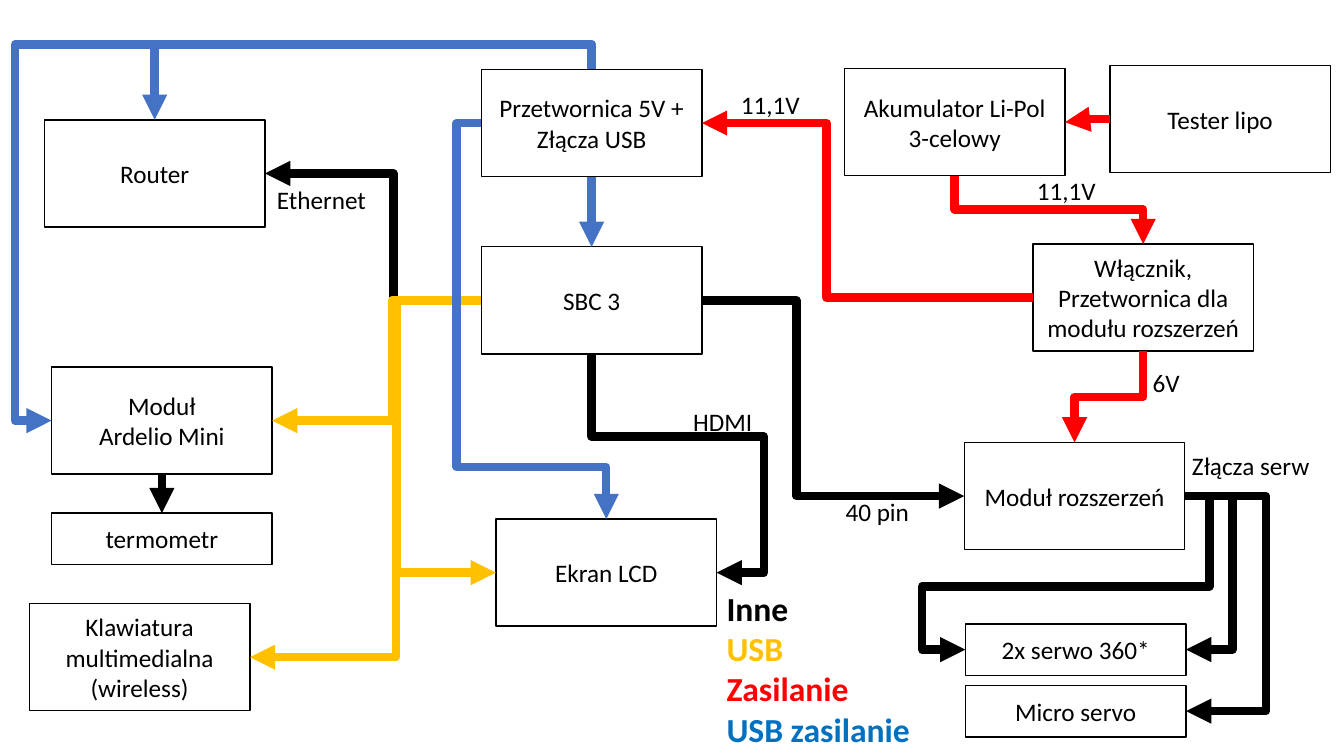
from lxml.etree import SubElement as Sub
from pptx import Presentation
from pptx.dml.color import RGBColor as Rgb
from pptx.enum.shapes import MSO_CONNECTOR as Link, MSO_SHAPE as Form
from pptx.enum.text import MSO_ANCHOR as Anchor, PP_ALIGN as Align
from pptx.oxml.ns import qn
from pptx.util import Cm, Pt

HEX = {"white": "FFFFFF", "black": "000000", "blue": "4472C4",
       "gold": "FFC000", "red": "FF0000", "sky": "0070C0"}
WIDE, TALL, LOW = 5.56, 2.7, 1.3

LEFT = {
    "router": (0.38, 0, TALL, ["Router"]),
    "nano": (0.56, 6.23, TALL, ["Moduł", "Ardelio Mini"]),
    "thermo": (0.56, 9.91, LOW, ["termometr"]),
    "keys": (0, 12.19, TALL, ["Klawiatura multimedialna (wireless)"]),
}
MIDDLE = {
    "conv": (0, 0, TALL, ["Przetwornica 5V + Złącza USB"]),
    "board": (0, 4.47, TALL, ["SBC 3"]),
    "screen": (0.37, 11.33, TALL, ["Ekran LCD"]),
}
RIGHT = {
    "cell": (0, 0.08, TALL, ["Akumulator Li-Pol", "3-celowy"]),
    "tester": (6.69, 0, TALL, ["Tester lipo"]),
    "switch": (4.75, 4.5, TALL, ["Włącznik, Przetwornica dla modułu rozszerzeń"]),
    "ext": (3.02, 9.5, TALL, ["Moduł rozszerzeń"]),
    "servo": (3.05, 14.07, LOW, ["2x serwo 360*"]),
    "micro": (3.05, 15.62, LOW, ["Micro servo"]),
}
WIRES = [
    ("black", "board", "e", "ext", "w", [20.07]),
    ("blue", "conv", "s", "board", "n", []),
    ("black", "board", "s", "screen", "e", [11, 19.25]),
    ("gold", "board", "w", "screen", "w", [10]),
    ("blue", "conv", "n", "router", "n", [1.12]),
    ("black", "board", "w", "router", "e", [9.91]),
    ("red", "cell", "s", "switch", "n", [5.28]),
    ("red", "switch", "w", "conv", "e", [20.83]),
    ("red", "switch", "s", "ext", "n", [10.01]),
    ("black", "ext", "e", "servo", "e", [31.06]),
    ("black", "ext", "e", "servo", "w", [30.48, 14.78, 23.24]),
    ("gold", "board", "w", "keys", "e", [9.98]),
    ("gold", "board", "w", "nano", "e", [9.88]),
    ("red", "tester", "w", "cell", "e", [27.41]),
    ("blue", "conv", "w", "screen", "n", [11.51, 11.76]),
    ("blue", "conv", "n", "nano", "w", [1.12, 0.38]),
    ("black", "ext", "e", "micro", "e", [31.9]),
    ("black", "nano", "s", "thermo", "n", []),
]
NOTES = [
    ("6V", 28.8, 9.14, 2.34), ("HDMI", 17.22, 10.11, 2.24),
    ("Ethernet", 6.73, 4.52, 2.84), ("40 pin", 21.06, 12.37, 2.34),
    ("11,1V", 18.42, 2.13, 2.34), ("11,1V", 25.88, 4.29, 2.34),
    ("Złącza serw", 29.79, 11.23, 3.71),
]
LEGEND = [("Inne", "black"), ("USB", "gold"), ("Zasilanie", "red"),
          ("USB zasilanie", "sky")]


def color(name):
    """Return the named colour."""
    return Rgb.from_string(HEX[name])


def write(frame, rows, size=18, bold=False, align=Align.LEFT):
    """Fill a frame with one paragraph per (text, colour) row."""
    frame.word_wrap = True
    for i, (text, tint) in enumerate(rows):
        para = frame.add_paragraph() if i else frame.paragraphs[0]
        para.alignment = align
        run = para.add_run()
        run.text = text
        run.font.name, run.font.size, run.font.bold = "Calibri", Pt(size), bold
        run.font.color.rgb = color(tint)


def column(slide, box, items):
    """Draw a column of blocks and return their outlines by name."""
    spots = {}
    for name, (dx, dy, high, rows) in items.items():
        x, y = box[0] + dx, box[1] + dy
        block = slide.shapes.add_shape(Form.RECTANGLE, Cm(x), Cm(y), Cm(WIDE), Cm(high))
        block.shadow.inherit = False
        block.fill.solid()
        block.fill.fore_color.rgb = color("white")
        block.line.color.rgb = color("black")
        block.line.width = Pt(1)
        block.text_frame.vertical_anchor = Anchor.MIDDLE
        write(block.text_frame, [(row, "black") for row in rows], align=Align.CENTER)
        spots[name] = (x, y, high)
    return spots


def port(spot, side):
    """Return the middle of one side of a block."""
    x, y, high = spot
    return {"n": (x + WIDE / 2, y), "s": (x + WIDE / 2, y + high),
            "w": (x, y + high / 2), "e": (x + WIDE, y + high / 2)}[side]


def wire(slide, tint, start, end, side, bends):
    """Draw an arrow that leaves by a side and turns at each bend."""
    dx, dy = end[0] - start[0], end[1] - start[1]
    mx, my = (start[0] + end[0]) / 2, (start[1] + end[1]) / 2
    turn, wide, high = 0, dx, dy
    if bends:
        turn = {"e": 0, "w": 180, "n": 270, "s": 270 if dx > 0 else 90}[side]
        wide, high = {0: (dx, dy), 90: (dy, -dx),
                      180: (-dx, -dy), 270: (-dy, dx)}[turn]
    line = slide.shapes.add_connector(
        Link.ELBOW if bends else Link.STRAIGHT,
        Cm(mx - wide / 2), Cm(my - high / 2), Cm(mx + wide / 2), Cm(my + high / 2))
    line.line.color.rgb = color(tint)
    line.line.width = Pt(6)
    props = line.element.spPr
    Sub(props.find(qn("a:ln")), qn("a:tailEnd"), type="triangle")
    Sub(props, qn("a:effectLst"))
    if bends:
        props.find(qn("a:xfrm")).set("rot", str(turn * 60000))
        geom = props.find(qn("a:prstGeom"))
        geom.set("prst", f"bentConnector{len(bends) + 2}")
        guides = geom.find(qn("a:avLst"))
        for i, bend in enumerate(bends):
            axis = (i + (side in "ns")) % 2
            part = (bend - start[axis]) / (end[axis] - start[axis])
            Sub(guides, qn("a:gd"), name=f"adj{i + 1}", fmla=f"val {round(part * 100000)}")


def wiring(slide, box, spots):
    """Join the blocks, with bends measured from the box corner."""
    for tint, first, side, last, gate, bends in WIRES:
        axis = int(side in "ns")
        turns = [bend + box[(axis + i) % 2] for i, bend in enumerate(bends)]
        wire(slide, tint, port(spots[first], side), port(spots[last], gate), side, turns)


def labels(slide, box):
    """Write the captions beside the wires."""
    for text, x, y, wide in NOTES:
        note = slide.shapes.add_textbox(Cm(box[0] + x), Cm(box[1] + y), Cm(wide), Cm(1.02))
        write(note.text_frame, [(text, "black")])


def legend(slide, box):
    """Write the key to the wire colours."""
    note = slide.shapes.add_textbox(*map(Cm, box))
    write(note.text_frame, LEGEND, size=24, bold=True)


def main():
    """Build and save the wiring diagram."""
    deck = Presentation()
    deck.slide_width, deck.slide_height = Cm(33.87), Cm(19.05)
    slide = deck.slides.add_slide(deck.slide_layouts[6])
    spots = {}
    for box, items in (((0.74, 3.02), LEFT), ((12.13, 1.75), MIDDLE),
                       ((21.28, 1.65), RIGHT)):
        spots.update(column(slide, box, items))
    wiring(slide, (0, 0), spots)
    labels(slide, (0, 0))
    legend(slide, (18.06, 14.68, 5.99, 5.38))
    deck.save("out.pptx")


main()
